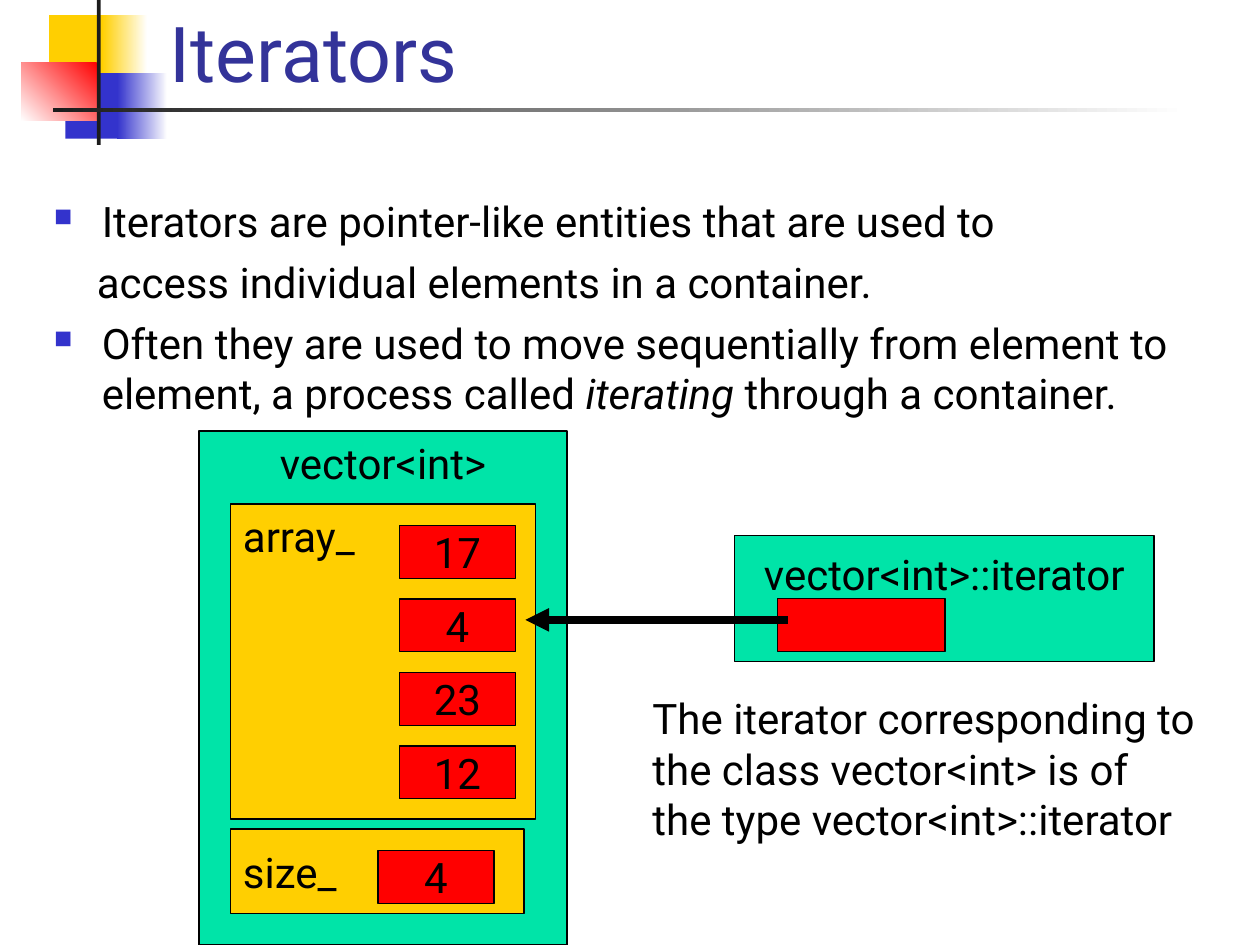
from dataclasses import dataclass

from lxml.etree import SubElement
from pptx import Presentation
from pptx.dml.color import RGBColor
from pptx.enum.shapes import MSO_CONNECTOR as Connector, MSO_SHAPE as Shape
from pptx.enum.text import MSO_ANCHOR as Anchor, PP_ALIGN as Align
from pptx.oxml.ns import qn
from pptx.slide import Slide
from pptx.util import Inches, Pt

COLORS = {
    "yellow": "FFCF01",
    "blue": "3333CC",
    "red": "FF0000",
    "white": "FFFFFF",
    "charcoal": "1C1C1C",
    "green": "00E4A8",
    "black": "000000",
    "title": "333399",
}


def rgb(name):
    return RGBColor.from_string(COLORS[name])


@dataclass
class SlideBuilder:
    """Draws styled elements on the current slide."""

    slide: Slide
    font: str = "Roboto"
    size: int = 24

    def style(self, paragraph, size=None, color="black"):
        paragraph.font.name = self.font
        paragraph.font.size = Pt(size or self.size)
        paragraph.font.color.rgb = rgb(color)

    def rectangle(self, box, fill):
        shape = self.slide.shapes.add_shape(Shape.RECTANGLE, *map(Inches, box))
        shape.shadow.inherit = False
        shape.fill.solid()
        shape.fill.fore_color.rgb = rgb(fill)
        shape.line.fill.background()
        return shape

    def gradient(self, box, start, end, angle=180):
        shape = self.rectangle(box, start)
        shape.fill.gradient()
        shape.fill.gradient_angle = angle
        for stop, color in zip(shape.fill.gradient_stops, (start, end)):
            stop.color.rgb = rgb(color)

    def block(self, box, fill, text="", align=Align.CENTER, anchor=Anchor.MIDDLE, inset=0.05):
        shape = self.rectangle(box, fill)
        shape.line.color.rgb = rgb("black")
        shape.line.width = Pt(0.75)
        if text:
            frame = shape.text_frame
            frame.word_wrap = True
            frame.vertical_anchor = anchor
            frame.margin_top = Inches(inset)
            paragraph = frame.paragraphs[0]
            paragraph.text = text
            paragraph.alignment = align
            self.style(paragraph)

    def text(self, box, lines, size=None, color="black", anchor=Anchor.TOP):
        frame = self.slide.shapes.add_textbox(*map(Inches, box)).text_frame
        frame.word_wrap = True
        frame.vertical_anchor = anchor
        for index, line in enumerate(lines):
            paragraph = frame.add_paragraph() if index else frame.paragraphs[0]
            paragraph.text = line
            self.style(paragraph, size, color)

    def bullets(self, box, items):
        frame = self.slide.shapes.add_textbox(*map(Inches, box)).text_frame
        frame.word_wrap = True
        for index, (bulleted, runs) in enumerate(items):
            paragraph = frame.add_paragraph() if index else frame.paragraphs[0]
            properties = paragraph._p.get_or_add_pPr()
            if bulleted:
                properties.set("marL", str(Inches(0.38)))
                properties.set("indent", str(-Inches(0.38)))
                color = SubElement(properties, qn("a:buClr"))
                SubElement(color, qn("a:srgbClr"), val=COLORS["blue"])
                SubElement(properties, qn("a:buSzPct"), val="60000")
                SubElement(properties, qn("a:buChar"), char="■")
            else:
                properties.set("marL", str(Inches(0.34)))
            if index:
                paragraph.space_before = Pt(6)
            for words, italic in runs:
                run = paragraph.add_run()
                run.text = words
                if italic:
                    run.font.italic = True
            self.style(paragraph)

    def arrow(self, start, end):
        points = map(Inches, (*start, *end))
        connector = self.slide.shapes.add_connector(Connector.STRAIGHT, *points)
        connector.line.color.rgb = rgb("black")
        connector.line.width = Pt(4.5)
        SubElement(connector.line._get_or_add_ln(), qn("a:tailEnd"), type="triangle")
        SubElement(connector._element.spPr, qn("a:effectLst"))


def draw_header(builder):
    builder.rectangle((0.39, 0.12, 0.48, 0.52), "yellow")
    builder.gradient((0.81, 0.12, 0.36, 0.52), "white", "yellow")
    builder.rectangle((0.52, 0.58, 0.46, 0.52), "blue")
    builder.gradient((0.93, 0.58, 0.4, 0.52), "white", "blue")
    builder.gradient((0.17, 0.5, 0.61, 0.46), "red", "white", 225)
    builder.rectangle((0.77, 0, 0.03, 1.15), "charcoal")
    builder.gradient((0.42, 0.86, 9, 0.03), "white", "charcoal")
    builder.text((1.25, -0.42, 8.52, 1.25), ["Iterators"], 44, "title", Anchor.BOTTOM)


def draw_vector(builder):
    builder.block((1.58, 3.42, 2.92, 4.08), "green", "vector<int>", anchor=Anchor.TOP)
    builder.block((1.83, 4, 2.42, 2.5), "yellow", "array_", Align.LEFT, Anchor.TOP)
    for index, value in enumerate(("17", "4", "23", "12")):
        builder.block((3.17, 4.17 + index * 1.75 / 3, 0.92, 0.42), "red", value)
    builder.block((1.83, 6.58, 2.33, 0.67), "yellow", "size_", Align.LEFT)
    builder.block((3, 6.75, 0.92, 0.42), "red", "4")


def draw_iterator(builder):
    builder.block((5.83, 4.25, 3.33, 1), "green", "vector<int>::iterator", anchor=Anchor.TOP, inset=0.1)
    builder.block((6.17, 4.75, 1.33, 0.42), "red")
    builder.arrow((6.25, 4.92), (4.17, 4.92))
    builder.text((5.08, 5.45, 4.84, 1.3), [
        "The iterator corresponding to",
        "the class vector<int> is of",
        "the type vector<int>::iterator",
    ])


def main():
    presentation = Presentation()
    presentation.slide_width = Inches(10)
    presentation.slide_height = Inches(7.5)
    builder = SlideBuilder(presentation.slides.add_slide(presentation.slide_layouts[6]))
    draw_header(builder)
    draw_vector(builder)
    builder.bullets((0.33, 1.5, 9.46, 1.9), [
        (True, [("Iterators are pointer-like entities that are used to", False)]),
        (False, [("access individual elements in a container.", False)]),
        (True, [
            ("Often they are used to move sequentially from element to element, a process called ", False),
            ("iterating", True),
            (" through a container.", False),
        ]),
    ])
    draw_iterator(builder)
    presentation.save("out.pptx")


if __name__ == "__main__":
    main()
